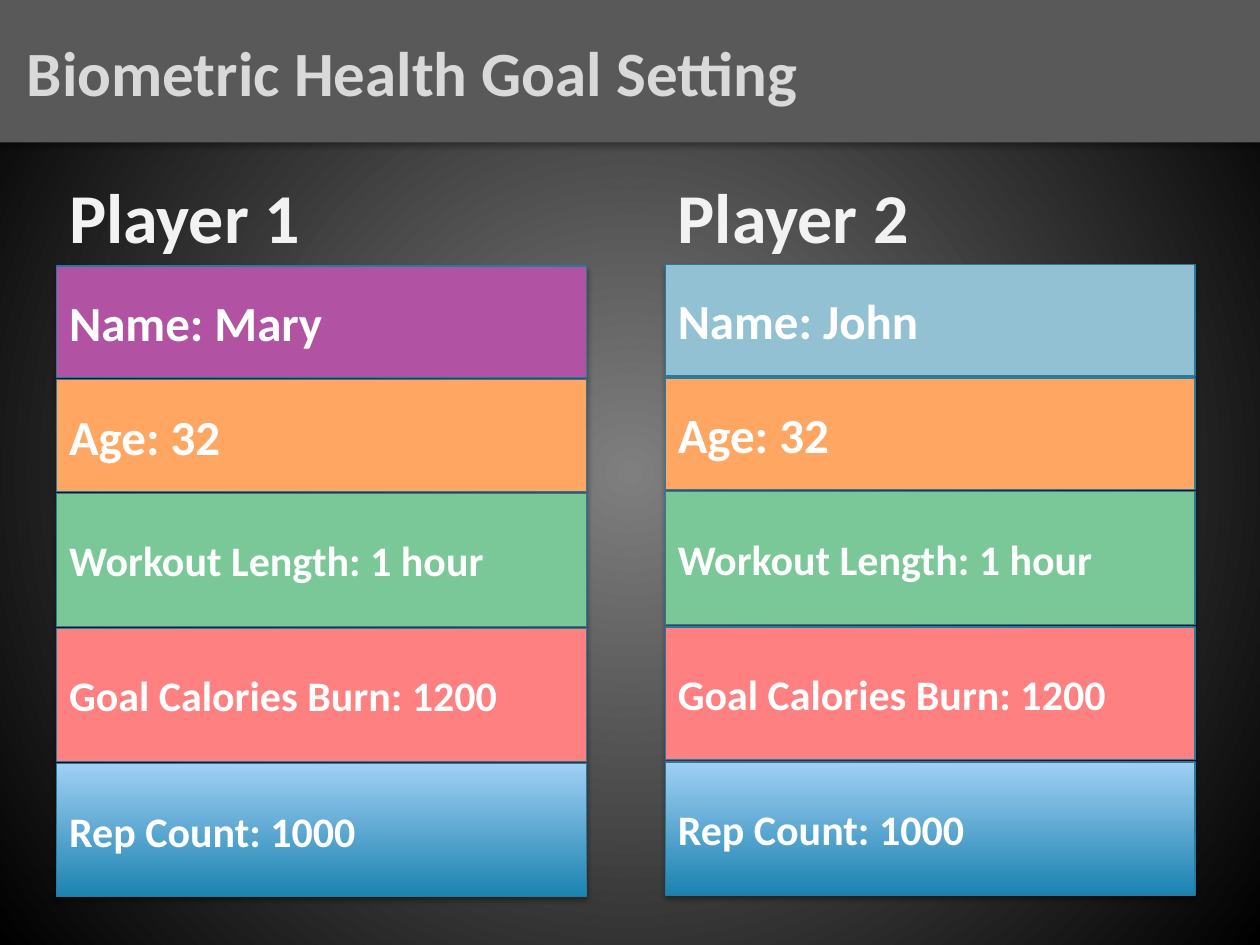
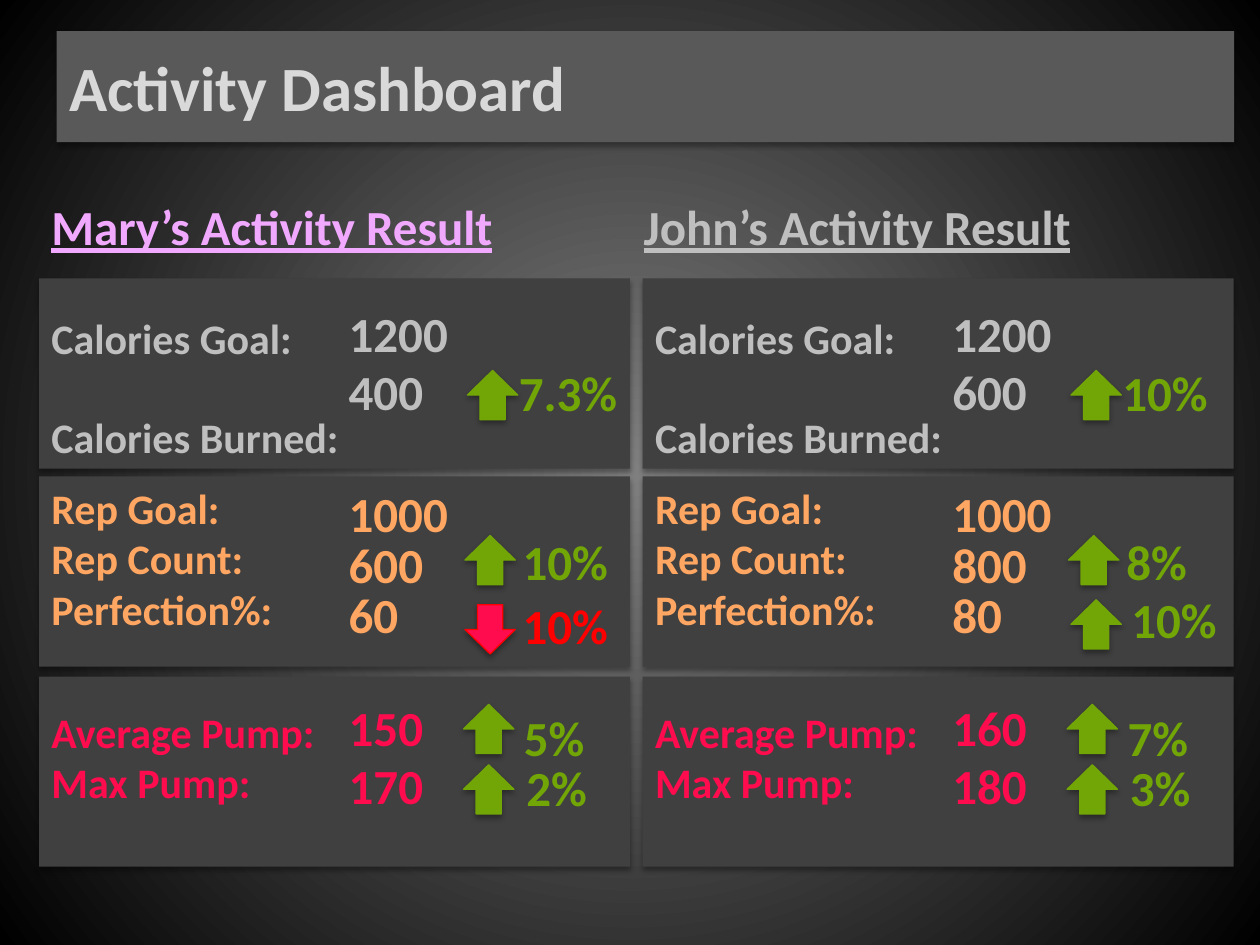
from dataclasses import dataclass

from pptx import Presentation
from pptx import util as u
from pptx.dml.color import RGBColor
from pptx.enum import shapes, text
from pptx.oxml import parse_xml
from pptx.oxml.ns import nsdecls, qn
from pptx.shapes.autoshape import Shape
from pptx.slide import Slide

Pt = u.Pt


# Theme shared by both slides
@dataclass(frozen=True)
class Theme:
    font: str = "Calibri"
    title_size: float = 36
    player_size: float = 40
    large: float = 28
    body: float = 24
    glow: str = "7F7F7F"
    black: str = "000000"
    band: str = "595959"
    panel: str = "404040"
    title: str = "D9D9D9"
    near_white: str = "F2F2F2"
    white: str = "FFFFFF"
    silver: str = "BFBFBF"
    outline: str = "287A9E"
    purple: str = "B152A3"
    pale_blue: str = "91C1D2"
    orange: str = "FFA662"
    mint: str = "7AC897"
    coral: str = "FF8080"
    deep_blue: str = "1B83B0"
    sky: str = "A0CFF4"
    lilac: str = "F1A9FF"
    pink: str = "FF0C4F"
    red: str = "FF0000"
    green: str = "72A506"


THEME = Theme()


@dataclass(frozen=True)
class Box:
    left: float
    top: float
    width: float
    height: float


@dataclass(frozen=True)
class Style:
    size: float
    color: str
    underline: bool = False


# Content of the goal cards
@dataclass(frozen=True)
class GoalRow:
    label: str
    fill: str | tuple[str, str]
    height: float = 76
    size: float = THEME.body


@dataclass(frozen=True)
class GoalCard:
    player: str
    name: str
    name_fill: str
    left: float
    top: float


SHORT_ROW = 63.8
ROW_GAP = 1.2
SHARED_GOALS = (
    GoalRow("Age: 32", THEME.orange, SHORT_ROW, THEME.large),
    GoalRow("Workout Length: 1 hour", THEME.mint),
    GoalRow("Goal Calories Burn: 1200", THEME.coral),
    GoalRow("Rep Count: 1000", (THEME.deep_blue, THEME.sky)),
)
GOAL_CARDS = (
    GoalCard("Player 1", "Mary", THEME.purple, 32.4, 152),
    GoalCard("Player 2", "John", THEME.pale_blue, 380.2, 151),
)


# Content of the dashboard; horizontal places count from the column's left edge
@dataclass(frozen=True)
class Section:
    panel_top: float
    labels_top: float
    labels_width: float
    labels: tuple[str, ...]
    color: str
    value_tops: tuple[float, ...]
    label_gap: float = 0


@dataclass(frozen=True)
class TrendSlot:
    arrow_left: float
    arrow_top: float
    percent_left: float
    percent_top: float
    rising: bool = True


@dataclass(frozen=True)
class Result:
    heading: str
    heading_color: str
    heading_left: float
    left: float
    values: tuple[tuple[str, ...], ...]
    trends: tuple[tuple[TrendSlot, str], ...]


SECTIONS = (
    Section(159.1, 175, 226, ("Calories Goal:", "Calories Burned:"),
            THEME.silver, (169.9, 203), 28),
    Section(272.2, 272.2, 142, ("Rep Goal:", "Rep Count:", "Perfection%:"),
            THEME.orange, (272.9, 301.7, 330.5)),
    Section(386.6, 400, 170, ("Average Pump:", "Max Pump:"),
            THEME.pink, (395.3, 428.4)),
)
BURNED = TrendSlot(244.8, 211.7, 267.1, 203.8)
REPS = TrendSlot(243.4, 306, 269.3, 300.2)
PERFECTION_DOWN = TrendSlot(243.4, 345.6, 269.3, 337, rising=False)
PERFECTION_UP = TrendSlot(244.8, 342.7, 272.2, 333.4)
AVERAGE_PUMP = TrendSlot(242.6, 402.5, 270, 401)
MAX_PUMP = TrendSlot(242.6, 437, 271.4, 429.1)
RESULTS = (
    Result("Mary’s Activity Result", THEME.lilac, 22.3, 22.3,
           (("1200", "400"), ("1000", "600", "60"), ("150", "170")),
           ((BURNED, "7.3%"), (REPS, "10%"), (PERFECTION_DOWN, "10%"),
            (AVERAGE_PUMP, "5%"), (MAX_PUMP, "2%"))),
    Result("John’s Activity Result", THEME.silver, 360.7, 367.2,
           (("1200", "600"), ("1000", "800", "80"), ("160", "180")),
           ((BURNED, "10%"), (REPS, "8%"), (PERFECTION_UP, "10%"),
            (AVERAGE_PUMP, "7%"), (MAX_PUMP, "3%"))),
)


# Drawing helpers
def rgb(color: str) -> RGBColor:
    return RGBColor.from_string(color)


def set_gradient(fill, start: str, end: str) -> None:
    fill.gradient()
    for stop, color in zip(fill.gradient_stops, (start, end)):
        stop.color.rgb = rgb(color)


def add_shadow(shape: Shape) -> None:
    shape.shadow.inherit = False
    shape.element.spPr.find(qn("a:effectLst")).append(parse_xml(
        f'<a:outerShdw {nsdecls("a")} blurRad="{Pt(3.1)}" dist="{Pt(1.8)}" '
        f'dir="5400000" rotWithShape="0"><a:srgbClr val="{THEME.black}">'
        '<a:alpha val="35000"/></a:srgbClr></a:outerShdw>'))


def write(shape: Shape, lines: tuple[str, ...], style: Style, gap: float = 0) -> None:
    frame = shape.text_frame
    frame.text = "\n".join(lines)
    for index, paragraph in enumerate(frame.paragraphs):
        paragraph.alignment = text.PP_ALIGN.LEFT
        paragraph.space_before = Pt(gap if index else 0)
        font = paragraph.font
        font.name, font.size, font.bold = THEME.font, Pt(style.size), True
        font.underline = style.underline
        font.color.rgb = rgb(style.color)


def add_block(slide: Slide, box: Box, fill: str | tuple[str, str],
              outline: str | None = None,
              preset: shapes.MSO_SHAPE = shapes.MSO_SHAPE.RECTANGLE) -> Shape:
    block = slide.shapes.add_shape(preset, Pt(box.left), Pt(box.top),
                                   Pt(box.width), Pt(box.height))
    if isinstance(fill, tuple):
        set_gradient(block.fill, *fill)
        block.fill.gradient_angle = 90
    else:
        block.fill.solid()
        block.fill.fore_color.rgb = rgb(fill)
    if outline:
        block.line.color.rgb = rgb(outline)
        block.line.width = Pt(0.75)
    else:
        block.line.fill.background()
    add_shadow(block)
    block.text_frame.vertical_anchor = text.MSO_ANCHOR.MIDDLE
    return block


def add_text(slide: Slide, box: Box, lines: tuple[str, ...], style: Style,
             gap: float = 0) -> None:
    label = slide.shapes.add_textbox(Pt(box.left), Pt(box.top),
                                     Pt(box.width), Pt(box.height))
    label.text_frame.word_wrap = False
    write(label, lines, style, gap)


def add_figure(slide: Slide, left: float, top: float, figure: str, color: str) -> None:
    """Place a number in a box as wide as its characters and side insets."""
    advances = {"%": 20.4, ".": 7.5}
    width = 14.4 + sum(advances.get(character, 14.2) for character in figure)
    add_text(slide, Box(left, top, width, 41), (figure,), Style(THEME.large, color))


def add_titled_slide(deck, title: str, band: Box, inset: float = 7.2) -> Slide:
    slide = deck.slides.add_slide(deck.slide_layouts[6])
    set_gradient(slide.background.fill, THEME.glow, THEME.black)
    linear = slide.element.find(".//" + qn("a:lin"))
    linear.getparent().replace(linear, parse_xml(
        f'<a:path {nsdecls("a")} path="circle">'
        '<a:fillToRect l="50000" t="50000" r="50000" b="50000"/></a:path>'))
    title_band = add_block(slide, band, THEME.band)
    title_band.text_frame.margin_left = Pt(inset)
    write(title_band, (title,), Style(THEME.title_size, THEME.title))
    return slide


# Slide parts
def draw_goal_card(slide: Slide, card: GoalCard) -> None:
    add_text(slide, Box(card.left, 95.8, 148.3, 55.4), (card.player,),
             Style(THEME.player_size, THEME.near_white))
    name_row = GoalRow(f"Name: {card.name}", card.name_fill, SHORT_ROW, THEME.large)
    top = card.top
    for row in (name_row, *SHARED_GOALS):
        block = add_block(slide, Box(card.left, top, 302.6, row.height),
                          row.fill, THEME.outline)
        write(block, (row.label,), Style(row.size, THEME.white))
        top += row.height + ROW_GAP


def draw_trend(slide: Slide, left: float, slot: TrendSlot, percent: str) -> None:
    fill, accent = ((THEME.green, THEME.green) if slot.rising
                    else (THEME.pink, THEME.red))
    arrow = add_block(slide, Box(left + slot.arrow_left, slot.arrow_top, 28.8, 28.1),
                      fill, accent, shapes.MSO_SHAPE.UP_ARROW)
    arrow.rotation = 0 if slot.rising else 180
    add_figure(slide, left + slot.percent_left, slot.percent_top, percent, accent)


def draw_result(slide: Slide, result: Result) -> None:
    add_text(slide, Box(result.heading_left, 108.7, 272, 41), (result.heading,),
             Style(THEME.large, result.heading_color, underline=True))
    for section, values in zip(SECTIONS, result.values):
        add_block(slide, Box(result.left, section.panel_top, 337.7, 108.7), THEME.panel)
        add_text(slide, Box(result.left, section.labels_top, section.labels_width, 94),
                 section.labels, Style(THEME.body, section.color), section.label_gap)
        for top, value in zip(section.value_tops, values):
            add_figure(slide, result.left + 169.9, top, value, section.color)
    for slot, percent in result.trends:
        draw_trend(slide, result.left, slot, percent)


def main() -> None:
    deck = Presentation()
    deck.slide_width, deck.slide_height = Pt(720), Pt(540)

    goals = add_titled_slide(deck, "Biometric Health Goal Setting",
                             Box(0, 0, 720, 81.4), inset=15.4)
    for card in GOAL_CARDS:
        draw_goal_card(goals, card)

    dashboard = add_titled_slide(deck, "Activity Dashboard", Box(32.4, 17.8, 672.8, 63.4))
    for result in RESULTS:
        draw_result(dashboard, result)

    deck.save("out.pptx")


if __name__ == "__main__":
    main()
